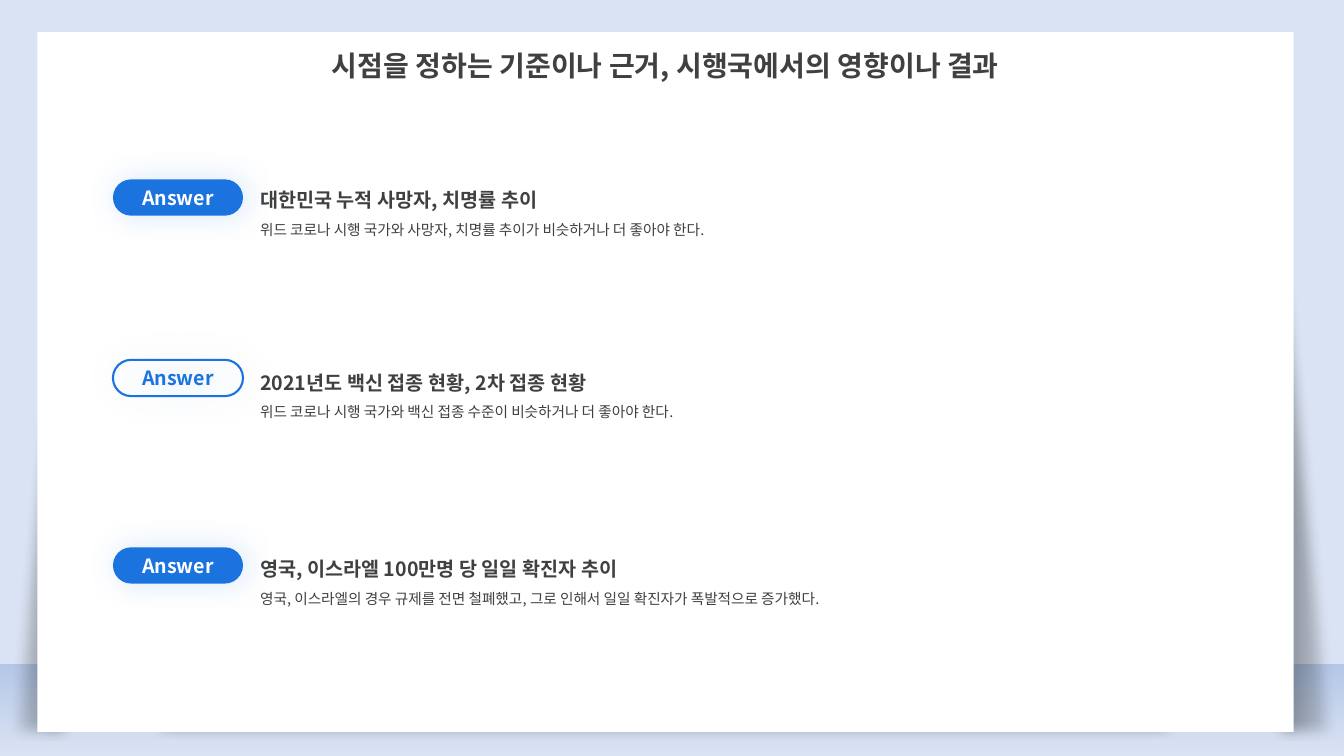
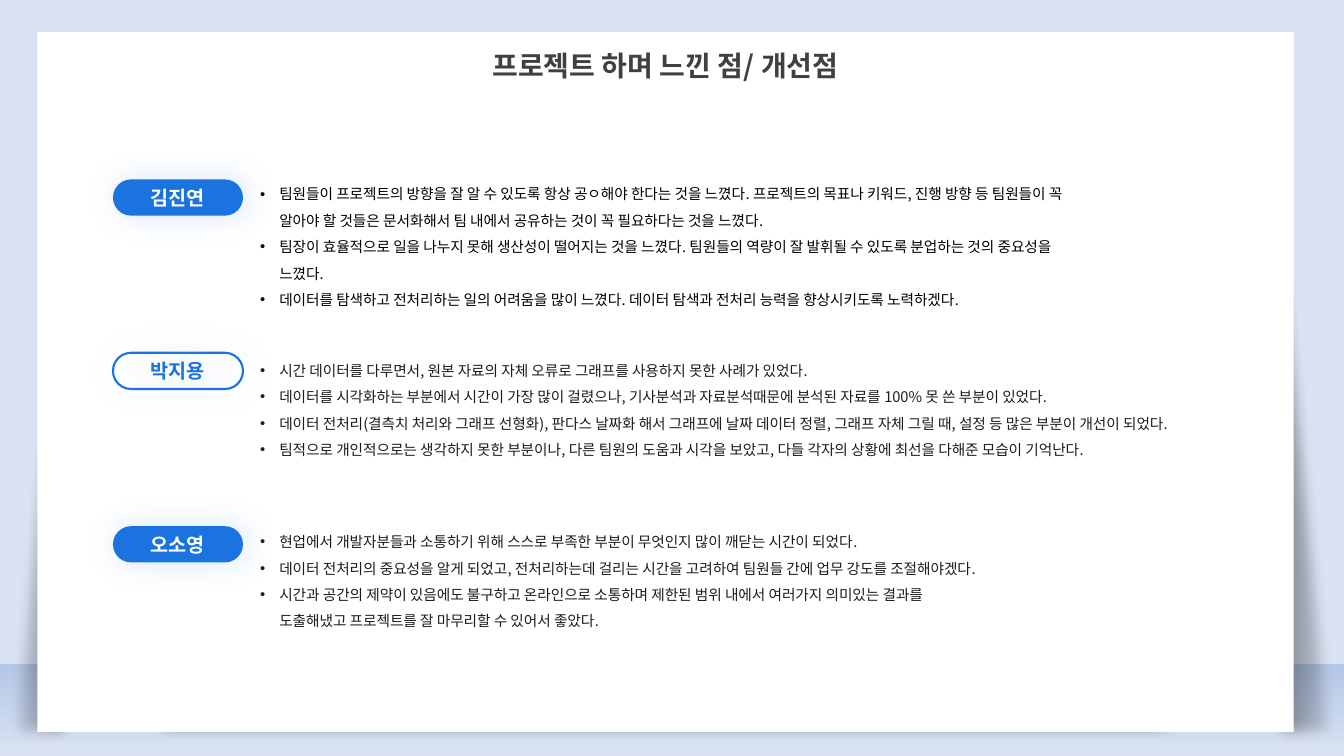
from dataclasses import dataclass

from lxml import etree
from pptx import Presentation
from pptx.dml.color import RGBColor
from pptx.enum.shapes import MSO_SHAPE
from pptx.enum.text import MSO_ANCHOR, MSO_AUTO_SIZE, PP_ALIGN
from pptx.oxml.ns import qn
from pptx.util import Emu, Pt

RECTANGLE = MSO_SHAPE.RECTANGLE
TRIANGLE = MSO_SHAPE.RIGHT_TRIANGLE
PILL = MSO_SHAPE.ROUNDED_RECTANGLE
TOP, MIDDLE = MSO_ANCHOR.TOP, MSO_ANCHOR.MIDDLE
LEFT, CENTER = PP_ALIGN.LEFT, PP_ALIGN.CENTER

SKY = RGBColor(0xDA, 0xE3, 0xF3)
FLOOR = RGBColor(0xB4, 0xC7, 0xE7)
BLUE = RGBColor(0x1A, 0x73, 0xDE)
WHITE = RGBColor(0xFF, 0xFF, 0xFF)
BLACK = RGBColor(0x00, 0x00, 0x00)
GRAY = RGBColor(0x40, 0x40, 0x40)
INK = RGBColor(0x1D, 0x1C, 0x1D)

FONT = "Noto Sans CJK KR"
PX = 9144  # 100 px to the inch
PAGE_WIDTH, PAGE_HEIGHT = 1333, 750
PANEL = (37, 32, 1246, 694)
PILL_LEFT, PILL_WIDTH, PILL_HEIGHT = 112, 129, 36
TEXT_LEFT = 248
BULLET_INDENT = 19
COMPARISON_LAYOUT = 4


@dataclass(frozen=True)
class Entry:
    label: str
    pill_top: int
    text_top: int
    width: int
    height: int
    lines: tuple[str, ...]
    color: RGBColor = GRAY
    outlined: bool = False


@dataclass(frozen=True)
class Page:
    title: str
    entries: tuple[Entry, ...]
    bulleted: bool


PAGES = (
    Page("시점을 정하는 기준이나 근거, 시행국에서의 영향이나 결과", (
        Entry("Answer", 178, 170, 844, 163, (
            "대한민국 누적 사망자, 치명률 추이",
            "위드 코로나 시행 국가와 사망자, 치명률 추이가 비슷하거나 더 좋아야 한다.",
        )),
        Entry("Answer", 357, 351, 929, 168, (
            "2021년도 백신 접종 현황, 2차 접종 현황",
            "위드 코로나 시행 국가와 백신 접종 수준이 비슷하거나 더 좋아야 한다.",
        ), outlined=True),
        Entry("Answer", 543, 536, 738, 94, (
            "영국, 이스라엘 100만명 당 일일 확진자 추이",
            "영국, 이스라엘의 경우 규제를 전면 철폐했고, 그로 인해서 일일 확진자가 폭발적으로 증가했다.",
        )),
    ), bulleted=False),
    Page("프로젝트 하며 느낀 점/ 개선점", (
        Entry("김진연", 178, 170, 844, 163, (
            "팀원들이 프로젝트의 방향을 잘 알 수 있도록 항상 공ㅇ해야 한다는 것을 느꼈다. "
            "프로젝트의 목표나 키워드, 진행 방향 등 팀원들이 꼭 알아야 할 것들은 "
            "문서화해서 팀 내에서 공유하는 것이 꼭 필요하다는 것을 느꼈다.",
            "팀장이 효율적으로 일을 나누지 못해 생산성이 떨어지는 것을 느꼈다. "
            "팀원들의 역량이 잘 발휘될 수 있도록 분업하는 것의 중요성을 느꼈다.",
            "데이터를 탐색하고 전처리하는 일의 어려움을 많이 느꼈다. "
            "데이터 탐색과 전처리 능력을 향상시키도록 노력하겠다.",
        ), color=BLACK),
        Entry("박지용", 350, 345, 929, 147, (
            "시간 데이터를 다루면서, 원본 자료의 자체 오류로 그래프를 사용하지 못한 사례가 있었다.",
            "데이터를 시각화하는 부분에서 시간이 가장 많이 걸렸으나, "
            "기사분석과 자료분석때문에 분석된 자료를 100% 못 쓴 부분이 있었다.",
            "데이터 전처리(결측치 처리와 그래프 선형화), 판다스 날짜화 해서 그래프에 날짜 데이터 정렬, "
            "그래프 자체 그릴 때, 설정 등 많은 부분이 개선이 되었다.",
            "팀적으로 개인적으로는 생각하지 못한 부분이나, 다른 팀원의 도움과 시각을 보았고, "
            "다들 각자의 상황에 최선을 다해준 모습이 기억난다.",
        ), color=INK, outlined=True),
        Entry("오소영", 522, 515, 738, 150, (
            "현업에서 개발자분들과 소통하기 위해 스스로 부족한 부분이 무엇인지 많이 깨닫는 시간이 되었다.",
            "데이터 전처리의 중요성을 알게 되었고, 전처리하는데 걸리는 시간을 고려하여 "
            "팀원들 간에 업무 강도를 조절해야겠다.",
            "시간과 공간의 제약이 있음에도 불구하고 온라인으로 소통하며 제한된 범위 내에서 "
            "여러가지 의미있는 결과를 도출해냈고 프로젝트를 잘 마무리할 수 있어서 좋았다.",
        ), color=INK),
    ), bulleted=True),
)


def px(length: int) -> Emu:
    return Emu(length * PX)


def place(shape, left: int, top: int, width: int, height: int) -> None:
    shape.left, shape.top = px(left), px(top)
    shape.width, shape.height = px(width), px(height)


def add_shape(slide, kind, left: int, top: int, width: int, height: int, fill=None):
    """Add a preset shape without line or shadow, filled only if a colour is given."""
    shape = slide.shapes.add_shape(kind, px(left), px(top), px(width), px(height))
    shape.shadow.inherit = False
    shape.line.fill.background()
    if fill is None:
        shape.fill.background()
    else:
        shape.fill.solid()
        shape.fill.fore_color.rgb = fill
    return shape


def add_alpha(color_element, percent: int) -> None:
    etree.SubElement(color_element, qn("a:alpha"), val=str(percent * 1000))


def fill_gradient(shape, colors, angle: int, alphas=()) -> None:
    """Fill with two stops; the angle counts counter-clockwise."""
    shape.fill.gradient()
    shape.fill.gradient_angle = angle
    for stop, color in zip(shape.fill.gradient_stops, colors):
        stop.color.rgb = color
    stop_colors = list(shape.element.spPr.iter(qn("a:srgbClr")))
    for stop_color, alpha in zip(stop_colors, alphas):
        add_alpha(stop_color, alpha)


def add_effect(shape, name: str, **settings):
    effects = shape.element.spPr.find(qn("a:effectLst"))
    values = {key: str(value) for key, value in settings.items()}
    return etree.SubElement(effects, qn(f"a:{name}"), values)


def add_shadow(shape, color: RGBColor, alpha: int, blur: int, distance: int, **settings) -> None:
    shadow = add_effect(shape, "outerShdw", blurRad=Pt(blur), dist=Pt(distance), **settings)
    add_alpha(etree.SubElement(shadow, qn("a:srgbClr"), val=str(color)), alpha)


def write(frame, text: str, *, size: float, color: RGBColor, bold: bool = False,
          align=LEFT, spacing: float = 1.0, bullet: bool = False) -> None:
    """Add one formatted paragraph, using the empty first one if there is one."""
    first = frame.paragraphs[0]
    para = frame.add_paragraph() if first.runs else first
    para.alignment = align
    para.line_spacing = spacing
    para.space_before = para.space_after = Pt(0)
    properties = para._p.get_or_add_pPr()
    indent = px(BULLET_INDENT) if bullet else 0
    properties.set("marL", str(indent))
    properties.set("indent", str(-indent))
    if bullet:
        etree.SubElement(properties, qn("a:buFont"), typeface="Arial")
        etree.SubElement(properties, qn("a:buChar"), char="•")
    else:
        etree.SubElement(properties, qn("a:buNone"))
    span = para.add_run()
    span.text = text
    span.font.name = FONT
    span.font.size = Pt(size)
    span.font.bold = bold
    span.font.color.rgb = color
    etree.SubElement(span._r.rPr, qn("a:ea"), typeface=FONT)


def prepare_frame(shape, anchor):
    frame = shape.text_frame
    frame.word_wrap = True
    frame.auto_size = MSO_AUTO_SIZE.NONE
    frame.vertical_anchor = anchor
    return frame


def draw_backdrop(slide) -> None:
    slide.background.fill.solid()
    slide.background.fill.fore_color.rgb = SKY
    floor = add_shape(slide, RECTANGLE, 0, 659, PAGE_WIDTH, 91)
    fill_gradient(floor, (FLOOR, SKY), 270)
    for left, flipped in ((0, True), (1259, False)):
        shade = add_shape(slide, TRIANGLE, left, 0, 75, 738)
        fill_gradient(shade, (BLACK, BLACK), 180, (0, 48))
        add_effect(shade, "softEdge", rad=Pt(10))
        if flipped:
            shade.element.spPr.find(qn("a:xfrm")).set("flipH", "1")
    panel = add_shape(slide, RECTANGLE, *PANEL, fill=WHITE)
    add_shadow(panel, BLACK, 40, 10, 96, dir=5400000, sx=80000, sy=80000,
               algn="t", rotWithShape=0)


def draw_title(title, text: str) -> None:
    place(title, *PANEL)
    frame = prepare_frame(title, TOP)
    frame.margin_top = px(16)
    write(frame, text, size=20, color=GRAY, bold=True, align=CENTER)


def draw_pill(slide, entry: Entry) -> None:
    pill = add_shape(slide, PILL, PILL_LEFT, entry.pill_top, PILL_WIDTH, PILL_HEIGHT,
                     fill=None if entry.outlined else BLUE)
    pill.adjustments[0] = 0.5
    if entry.outlined:
        pill.line.color.rgb = BLUE
        pill.line.width = Pt(1.5)
    add_shadow(pill, BLUE, 17, 23, 3, dir=0, algn="ctr", rotWithShape=0)
    write(prepare_frame(pill, MIDDLE), entry.label, size=14,
          color=BLUE if entry.outlined else WHITE, bold=True, align=CENTER)


def draw_body(body, entry: Entry, bulleted: bool) -> None:
    place(body, TEXT_LEFT, entry.text_top, entry.width, entry.height)
    frame = prepare_frame(body, TOP)
    for number, line in enumerate(entry.lines):
        heading = number == 0 and not bulleted
        write(frame, line, size=14 if heading else 10.5, color=entry.color,
              bold=heading, spacing=1.5, bullet=bulleted)


def draw_page(deck, page: Page) -> None:
    slide = deck.slides.add_slide(deck.slide_layouts[COMPARISON_LAYOUT])
    title, *bodies = list(slide.placeholders)
    draw_backdrop(slide)
    tree = title.element.getparent()
    tree.append(title.element)
    draw_title(title, page.title)
    for body, entry in zip(bodies, page.entries):
        tree.append(body.element)
        draw_body(body, entry, page.bulleted)
        draw_pill(slide, entry)
    for spare in bodies[len(page.entries):]:
        tree.remove(spare.element)


def main() -> None:
    deck = Presentation()
    deck.slide_width, deck.slide_height = px(PAGE_WIDTH), px(PAGE_HEIGHT)
    for page in PAGES:
        draw_page(deck, page)
    deck.save("out.pptx")


if __name__ == "__main__":
    main()
